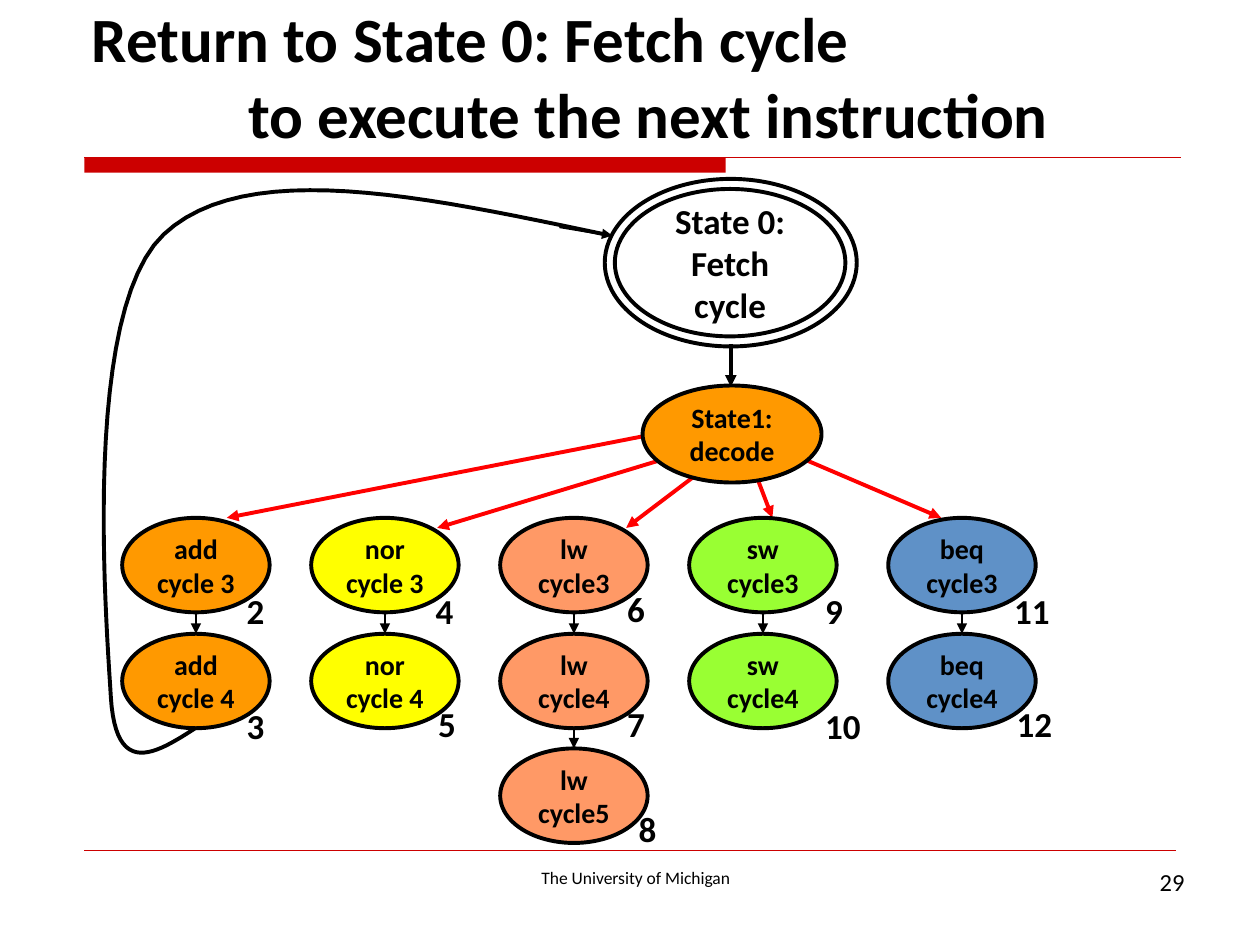
from pptx import Presentation
from pptx.dml.color import RGBColor
from pptx.enum.shapes import MSO_CONNECTOR, MSO_SHAPE
from pptx.enum.text import MSO_ANCHOR, PP_ALIGN
from pptx.oxml.ns import qn
from pptx.util import Pt
from lxml.etree import SubElement

EMU_PER_PX = 9144  # 100 px to the inch
FONT = "Calibri"
BLACK, RED, CRIMSON, ORANGE = "000000", "FF0000", "CC0000", "FF9900"


def px(length):
    return round(length * EMU_PER_PX)


def color(hex_string):
    return RGBColor.from_string(hex_string)


def bezier(start, control1, control2, end, steps=24):
    """Return points along a cubic curve, leaving out its start."""
    points = []
    for step in range(1, steps + 1):
        t = step / steps
        weights = ((1 - t) ** 3, 3 * t * (1 - t) ** 2, 3 * t * t * (1 - t), t ** 3)
        points.append(tuple(
            sum(weight * value for weight, value in zip(weights, axis))
            for axis in zip(start, control1, control2, end)
        ))
    return points


class StateDiagram:
    """Holds the style and the slide being drawn."""

    def __init__(self, slide):
        self.slide = slide
        self.shapes = slide.shapes

    def set_text(self, shape, lines, size, bold=True, align=PP_ALIGN.LEFT):
        frame = shape.text_frame
        frame.word_wrap = True
        frame.text = "\n".join(lines)
        for paragraph in frame.paragraphs:
            paragraph.alignment = align
            for run in paragraph.runs:
                run.font.name = FONT
                run.font.size = Pt(size)
                run.font.bold = bold
                run.font.color.rgb = color(BLACK)
        return frame

    def outline(self, shape, width=2.25):
        shape.shadow.inherit = False
        shape.line.color.rgb = color(BLACK)
        shape.line.width = Pt(width)

    def title(self, lines, left, top, width, height, second_line_indent):
        title = self.shapes.title
        title.left, title.top, title.width, title.height = map(px, (left, top, width, height))
        frame = self.set_text(title, lines, 36)
        frame.vertical_anchor = MSO_ANCHOR.BOTTOM
        properties = frame.paragraphs[1]._p.get_or_add_pPr()
        properties.set("marL", str(px(second_line_indent)))
        properties.set("indent", "0")
        for paragraph in frame.paragraphs:
            paragraph.space_before = Pt(0)

    def label(self, text, left, top, width, height, size=20, bold=True, align=PP_ALIGN.LEFT):
        box = self.shapes.add_textbox(px(left), px(top), px(width), px(height))
        self.set_text(box, [text], size, bold, align)

    def bar(self, left, top, width, height, fill):
        bar = self.shapes.add_shape(MSO_SHAPE.RECTANGLE, px(left), px(top), px(width), px(height))
        bar.shadow.inherit = False
        bar.fill.solid()
        bar.fill.fore_color.rgb = color(fill)
        bar.line.fill.background()

    def state(self, left, top, width, height, lines=(), fill=None, size=16):
        oval = self.shapes.add_shape(MSO_SHAPE.OVAL, px(left), px(top), px(width), px(height))
        self.outline(oval)
        if fill:
            oval.fill.solid()
            oval.fill.fore_color.rgb = color(fill)
        else:
            oval.fill.background()
        if lines:
            frame = self.set_text(oval, lines, size, align=PP_ALIGN.CENTER)
            frame.vertical_anchor = MSO_ANCHOR.MIDDLE

    def line(self, x1, y1, x2, y2, stroke=BLACK, width=2.25, arrow=True):
        connector = self.shapes.add_connector(
            MSO_CONNECTOR.STRAIGHT, px(x1), px(y1), px(x2), px(y2))
        connector.line.color.rgb = color(stroke)
        connector.line.width = Pt(width)
        if arrow:
            SubElement(connector.line._get_or_add_ln(), qn("a:tailEnd"), type="triangle")
        SubElement(connector._element.spPr, qn("a:effectLst"))

    def curve(self, start, *segments):
        """Draw an open curve; each segment is two control points and an end."""
        points, current = [], start
        for segment in segments:
            points += bezier(current, *segment)
            current = segment[-1]
        builder = self.shapes.build_freeform(*map(px, start), scale=1.0)
        builder.add_line_segments([(px(x), px(y)) for x, y in points], close=False)
        curve_shape = builder.convert_to_shape()
        curve_shape.fill.background()
        self.outline(curve_shape)


def main():
    presentation = Presentation()
    presentation.slide_width, presentation.slide_height = px(1000), px(750)
    slide = presentation.slides.add_slide(presentation.slide_layouts[5])
    diagram = StateDiagram(slide)

    diagram.bar(67, 125, 509, 12, CRIMSON)
    diagram.line(67, 125, 937, 125, CRIMSON, 0.75, arrow=False)
    diagram.line(67, 675, 933, 675, CRIMSON, 0.25, arrow=False)
    diagram.label("The University of Michigan", 317, 683, 375, 27, 10, False, PP_ALIGN.CENTER)
    diagram.label("29", 717, 683, 233, 52, 14, False, PP_ALIGN.RIGHT)
    diagram.title(["Return to State 0: Fetch cycle", "to execute the next instruction"],
                  63, 33, 875, 92, second_line_indent=124)

    diagram.state(488, 150, 183, 117, ["State 0:", "Fetch cycle"], size=20)
    diagram.state(480, 142, 200, 133)
    diagram.line(580, 273, 580, 307)

    diagram.curve((155, 578),
                  ((124, 598), (92, 618), (88, 553)),
                  ((84, 487), (65, 247), (130, 186)),
                  ((195, 125), (337, 156), (480, 186)))
    diagram.line(444, 180, 486, 187, width=1.5)

    decode_arrows = [
        (522, 344, 180, 411), (538, 361, 347, 419), (563, 369, 497, 419),
        (597, 369, 613, 411), (630, 361, 747, 411),
    ]
    for ends in decode_arrows:
        diagram.line(*ends, stroke=RED)
    diagram.state(510, 306, 142, 77, ["State1:", "decode"], ORANGE)

    oval_width, oval_height = 117, 75
    row_tops = [411, 503, 594]
    instructions = [
        (97, "add", "cycle ", 2, ORANGE),
        (247, "nor", "cycle ", 2, "FFFF00"),
        (397, "lw", "cycle", 3, "FF9966"),
        (547, "sw", "cycle", 2, "99FF33"),
        (705, "beq", "cycle", 2, "5F91C7"),
    ]
    for left, name, prefix, count, fill in instructions:
        center = left + oval_width / 2
        for row, top in enumerate(row_tops[:count]):
            diagram.state(left, top, oval_width, oval_height, [name, f"{prefix}{row + 3}"], fill)
            if row:
                diagram.line(center, row_tops[row - 1] + oval_height, center, top, width=1)

    state_numbers = [
        (186, 463), (186, 554), (336, 463), (338, 553), (488, 461), (488, 553),
        (497, 636), (645, 463), (645, 554), (795, 463), (797, 553),
    ]
    for number, (left, top) in enumerate(state_numbers, start=2):
        diagram.label(str(number), left, top, 34 if number < 10 else 49, 44)

    presentation.save("out.pptx")


if __name__ == "__main__":
    main()
